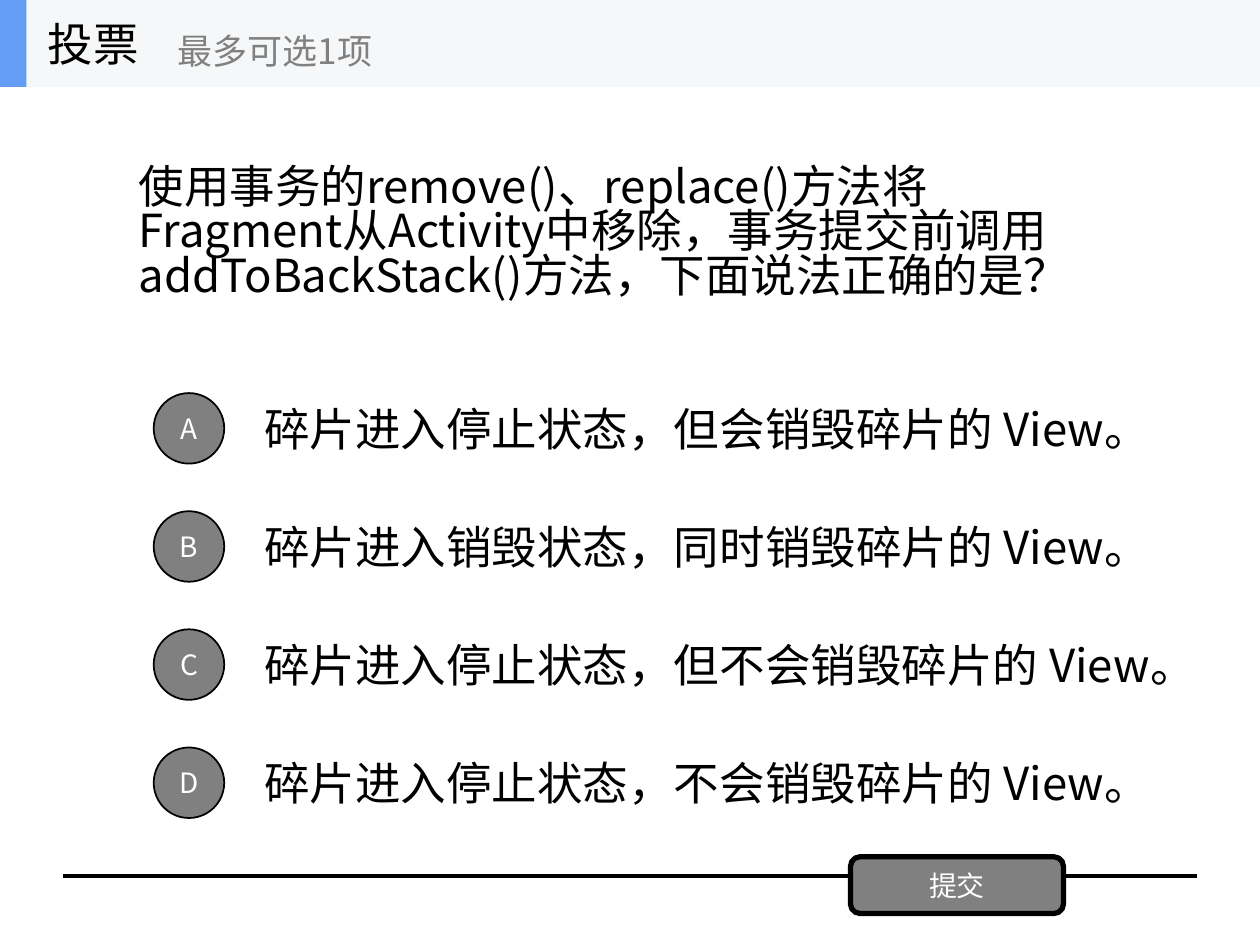
from pptx import Presentation
from pptx import util as u
from pptx.dml.color import RGBColor
from pptx.enum import shapes, text
from pptx.oxml.ns import qn
from lxml import etree

FONT = "Noto Sans CJK SC"
BLACK, GREY, WHITE = "000000", "808080", "FFFFFF"
W, H = 10, 7.5
HEAD = 0.69
QUERY = "使用事务的remove()、replace()方法将Fragment从Activity中移除，事务提交前调用addToBackStack()方法，下面说法正确的是？"
CHOICES = [
    ("A", "碎片进入停止状态，但会销毁碎片的 View。"),
    ("B", "碎片进入销毁状态，同时销毁碎片的 View。"),
    ("C", "碎片进入停止状态，但不会销毁碎片的 View。"),
    ("D", "碎片进入停止状态，不会销毁碎片的 View。"),
]
BANDS = [(W, "F6F7F8"), (0.21, "639EF4")]
LABELS = [
    ("投票", (0.28, 0, 2.08, HEAD), 26, BLACK),
    ("最多可选1项", (1.31, 0.12, 2.5, 0.56), 20, GREY),
]
TOP, STEP, ROW, DOT = 3.05, H / 8, 0.7, 0.56

deck = Presentation()
deck.slide_width, deck.slide_height = u.Inches(W), u.Inches(H)
slide = deck.slides.add_slide(deck.slide_layouts[5])
pool = slide.shapes


def tint(code):
    return RGBColor.from_string(code)


def inch(box):
    return [u.Inches(v) for v in box]


def write(shape, words, size, color, wrap=True, align=text.PP_ALIGN.LEFT):
    frame = shape.text_frame
    frame.text = words
    form = {"auto_size": text.MSO_AUTO_SIZE.NONE, "word_wrap": wrap,
            "vertical_anchor": text.MSO_ANCHOR.MIDDLE}
    for key, val in form.items():
        setattr(frame, key, val)
    para = frame.paragraphs[0]
    para.alignment = align
    run = para.runs[0]
    for key, val in {"name": FONT, "size": u.Pt(size)}.items():
        setattr(run.font, key, val)
    run.font.color.rgb = tint(color)
    etree.SubElement(run.font._element, qn("a:ea"), typeface=FONT)
    return para


def label(words, box, size, color):
    write(pool.add_textbox(*inch(box)), words, size, color, wrap=False)


def block(kind, box, fill, edge=0):
    shape = pool.add_shape(kind, *inch(box))
    shape.shadow.inherit = False
    shape.fill.solid()
    shape.fill.fore_color.rgb = tint(fill)
    if edge:
        shape.line.color.rgb = tint(BLACK)
        shape.line.width = u.Pt(edge)
    else:
        shape.line.fill.background()
    return shape


def button(kind, box, words, edge):
    shape = block(kind, box, GREY, edge)
    write(shape, words, 16, WHITE, align=text.PP_ALIGN.CENTER)


rule = pool.add_connector(shapes.MSO_CONNECTOR.STRAIGHT, *inch((0.5, 6.95, W - 0.5, 6.95)))
rule.line.color.rgb = tint(BLACK)
rule.line.width = u.Pt(2.25)
etree.SubElement(rule._element.spPr, qn("a:effectLst"))

title = pool.title
for key, val in zip(("left", "top", "width", "height"), inch((1, HEAD, 8, 2.34))):
    setattr(title, key, val)
write(title, QUERY, 26, BLACK).line_spacing = 0.82

for row, (mark, words) in enumerate(CHOICES):
    y = TOP + row * STEP
    label(words, (2, y, 7, ROW), 26, BLACK)
    button(shapes.MSO_SHAPE.OVAL, (1.22, y + (ROW - DOT) / 2, DOT, DOT), mark, 1)

button(shapes.MSO_SHAPE.ROUNDED_RECTANGLE, (6.75, 6.8, 1.69, 0.45), "提交", 3)

for wide, fill in BANDS:
    block(shapes.MSO_SHAPE.RECTANGLE, (0, 0, wide, HEAD), fill)
for item in LABELS:
    label(*item)

deck.save("out.pptx")
